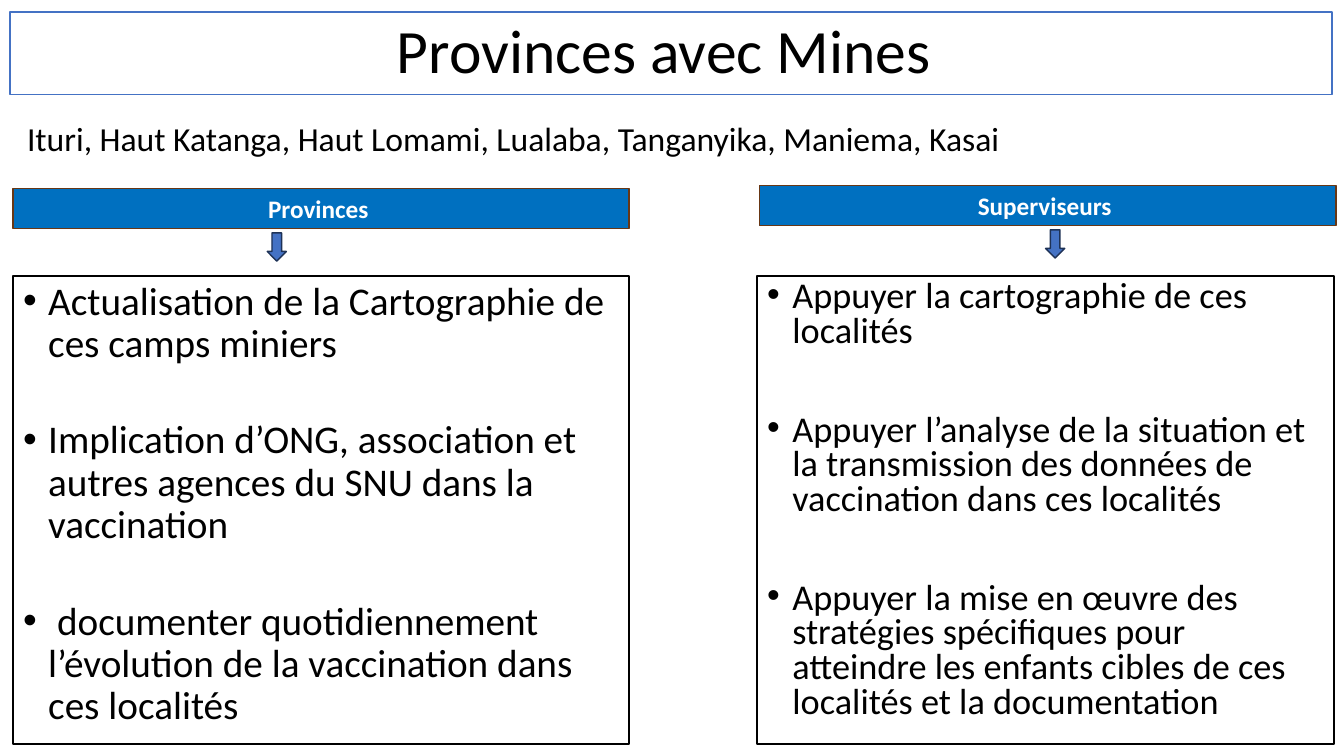
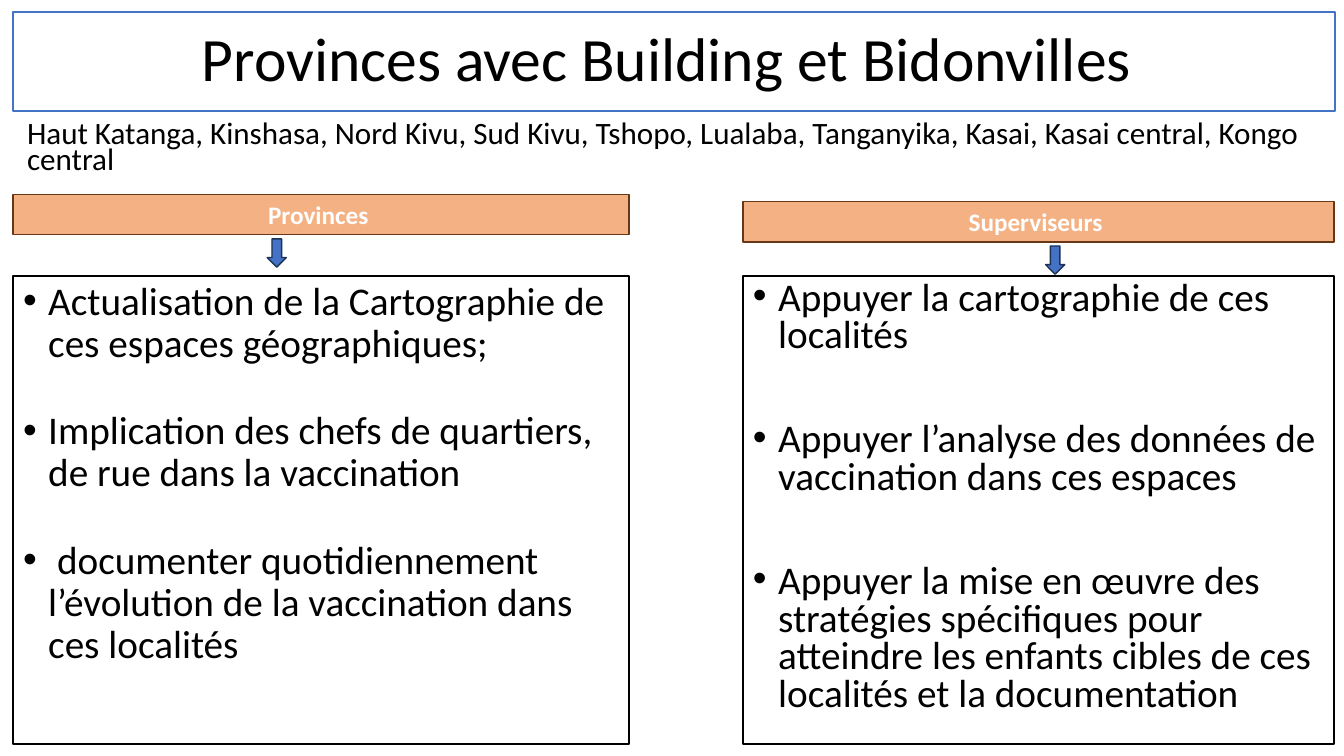
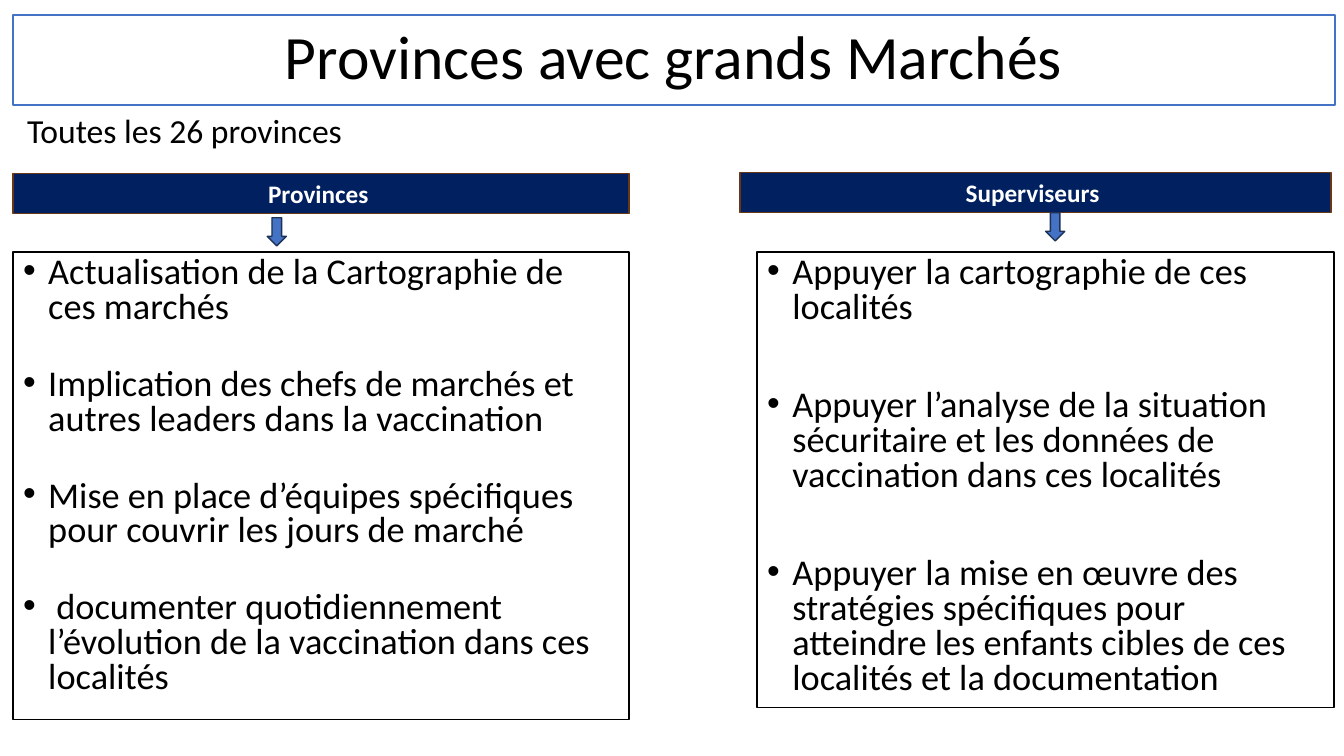
from dataclasses import dataclass

from lxml.etree import SubElement
from pptx import Presentation
from pptx.dml.color import RGBColor
from pptx.enum.shapes import MSO_SHAPE as Preset
from pptx.enum.text import MSO_ANCHOR as Anchor, PP_ALIGN as Align
from pptx.oxml.ns import qn
from pptx.util import Inches, Pt


@dataclass(frozen=True)
class Theme:
    font: str = "Calibri"
    paper: str = "FFFFFF"
    ink: str = "000000"
    accent: str = "4472C4"
    arrow_edge: str = "1E3256"
    header_edge: str = "683715"
    title_size: float = 44
    header_size: float = 18
    line_width: float = 1


THEME = Theme()
SLIDE_W, SLIDE_H = 13.33, 7.5
MARGIN = 0.13
RIGHT_EDGE = SLIDE_W - 0.1
LEFT_W = 6.11
TITLE_W = 13.11
HEADER_H = 0.4
ARROW_W, ARROW_H = 0.19, 0.28
ARROW_X = (2.65, 10.37)
AREA_X, AREA_W, AREA_H = 0.17, 13.06, 0.67
BULLET_INDENT = 0.25

DOCUMENT = " documenter quotidiennement l’évolution de la vaccination dans ces localités"
MAP_SUPPORT = "Appuyer la cartographie de ces localités"
STRATEGY_SUPPORT = ("Appuyer la mise en œuvre des stratégies spécifiques pour atteindre "
                    "les enfants cibles de ces localités et la documentation")

# Text styles are (size, line spacing, space before); headers are (left, top, width).
SLIDES = [
    {
        "title": ("Provinces avec Mines ", 0.1, 0.12, 0.82),
        "area": ("Ituri, Haut Katanga, Haut Lomami, Lualaba, Tanganyika, Maniema, Kasai",
                 1.17, (24, 0.9, 0)),
        "header_fill": "0070C0",
        "body_top": 2.74,
        "columns": [
            {"name": "Provinces ", "header": (MARGIN, 1.87, LEFT_W),
             "arrow_gap": 0.04, "body": (MARGIN, LEFT_W, 4.64), "style": (28, 0.9, 38.7),
             "tasks": ["Actualisation de la Cartographie de ces camps miniers",
                       "Implication d’ONG, association et autres agences du SNU "
                       "dans la vaccination",
                       DOCUMENT]},
            {"name": "Superviseurs ", "header": (7.53, 1.84, 5.72),
             "arrow_gap": 0.04, "body": (7.51, RIGHT_EDGE - 7.51, 4.64),
             "style": (25.9, 0.8, 45.3),
             "tasks": [MAP_SUPPORT,
                       "Appuyer l’analyse de la situation et la transmission des données "
                       "de vaccination dans ces localités",
                       STRATEGY_SUPPORT]},
        ],
    },
    {
        "title": ("Provinces avec Building et Bidonvilles ", MARGIN, 0.12, 0.98),
        "area": ("Haut Katanga, Kinshasa, Nord Kivu, Sud Kivu, Tshopo, Lualaba, "
                 "Tanganyika, Kasai, Kasai central, Kongo central", 1.18, (22.2, 0.7, 0)),
        "header_fill": "F4B183",
        "body_top": 2.74,
        "columns": [
            {"name": "Provinces ", "header": (MARGIN, 1.93, LEFT_W),
             "arrow_gap": 0.04, "body": (MARGIN, LEFT_W, 4.64), "style": (28, 0.9, 32.1),
             "tasks": ["Actualisation de la Cartographie de ces espaces géographiques;",
                       "Implication des chefs de quartiers, de rue dans la vaccination",
                       DOCUMENT]},
            {"name": "Superviseurs ", "header": (7.37, 2, 5.86),
             "arrow_gap": 0.04, "body": (7.37, RIGHT_EDGE - 7.37, 4.64),
             "style": (28, 0.8, 47.3),
             "tasks": [MAP_SUPPORT,
                       "Appuyer l’analyse des données de vaccination dans ces espaces",
                       STRATEGY_SUPPORT]},
        ],
    },
    {
        "title": ("Provinces avec grands Marchés", MARGIN, 0.15, 0.89),
        "area": ("Toutes les 26 provinces", 1.09, (24, 0.9, 0)),
        "header_fill": "002060",
        "body_top": 2.5,
        "columns": [
            {"name": "Provinces ", "header": (MARGIN, 1.72, LEFT_W),
             "arrow_gap": 0.04, "body": (MARGIN, LEFT_W, 4.64), "style": (25.9, 0.8, 30),
             "tasks": ["Actualisation de la Cartographie de ces marchés",
                       "Implication des chefs de marchés et autres leaders "
                       "dans la vaccination",
                       "Mise en place d’équipes spécifiques pour couvrir les jours de marché",
                       DOCUMENT]},
            {"name": "Superviseurs ", "header": (7.34, 1.71, 5.86),
             "arrow_gap": 0, "body": (7.51, RIGHT_EDGE - 7.51, 4.52),
             "style": (25.9, 0.8, 45.3),
             "tasks": [MAP_SUPPORT,
                       "Appuyer l’analyse de la situation sécuritaire et les données "
                       "de vaccination dans ces localités",
                       STRATEGY_SUPPORT]},
        ],
    },
]


def set_all(target, values):
    for name, value in values.items():
        setattr(target, name, value)


def add_panel(slide, box, fill, edge, preset=Preset.RECTANGLE):
    panel = slide.shapes.add_shape(preset, *map(Inches, box))
    panel.shadow.inherit = False
    panel.fill.solid()
    panel.fill.fore_color.rgb = RGBColor.from_string(fill)
    panel.line.color.rgb = RGBColor.from_string(edge)
    panel.line.width = Pt(THEME.line_width)
    return panel


def add_bullet(paragraph):
    props = paragraph._p.get_or_add_pPr()
    indent = Inches(BULLET_INDENT)
    props.set("marL", str(indent))
    props.set("indent", str(-indent))
    SubElement(props, qn("a:buFont"), typeface="Arial")
    SubElement(props, qn("a:buChar"), char="•")


def write(shape, lines, style, color=THEME.ink, bold=False, bullets=False,
          align=Align.LEFT, anchor=Anchor.TOP):
    size, spacing, gap = style
    frame = shape.text_frame
    set_all(frame, {"word_wrap": True, "vertical_anchor": anchor})
    for index, line in enumerate(lines):
        paragraph = frame.add_paragraph() if index else frame.paragraphs[0]
        if bullets:
            add_bullet(paragraph)
        set_all(paragraph, {"alignment": align, "line_spacing": spacing,
                            "space_before": Pt(gap if index else 0)})
        run = paragraph.add_run()
        run.text = line
        set_all(run.font, {"name": THEME.font, "size": Pt(size), "bold": bold})
        run.font.color.rgb = RGBColor.from_string(color)


def add_column(slide, column, arrow_x, body_top, header_fill):
    left, top, width = column["header"]
    body_left, body_w, body_h = column["body"]
    body = add_panel(slide, (body_left, body_top, body_w, body_h), THEME.paper, THEME.ink)
    write(body, column["tasks"], column["style"], bullets=True)
    header = add_panel(slide, (left, top, width, HEADER_H), header_fill, THEME.header_edge)
    write(header, [column["name"]], (THEME.header_size, 1.0, 0), THEME.paper, bold=True,
          align=Align.CENTER, anchor=Anchor.MIDDLE)
    arrow_top = top + HEADER_H + column["arrow_gap"]
    add_panel(slide, (arrow_x, arrow_top, ARROW_W, ARROW_H), THEME.accent,
              THEME.arrow_edge, Preset.DOWN_ARROW)


def add_province_slide(deck, content):
    slide = deck.slides.add_slide(deck.slide_layouts[6])
    heading, left, top, height = content["title"]
    title = add_panel(slide, (left, top, TITLE_W, height), THEME.paper, THEME.accent)
    write(title, [heading], (THEME.title_size, 0.9, 0),
          align=Align.CENTER, anchor=Anchor.MIDDLE)
    for column, arrow_x in zip(content["columns"], ARROW_X):
        add_column(slide, column, arrow_x, content["body_top"], content["header_fill"])
    provinces, area_top, style = content["area"]
    area = slide.shapes.add_textbox(*map(Inches, (AREA_X, area_top, AREA_W, AREA_H)))
    write(area, [provinces], style)


def main():
    deck = Presentation()
    set_all(deck, {"slide_width": Inches(SLIDE_W), "slide_height": Inches(SLIDE_H)})
    for content in SLIDES:
        add_province_slide(deck, content)
    deck.save("out.pptx")


if __name__ == "__main__":
    main()
